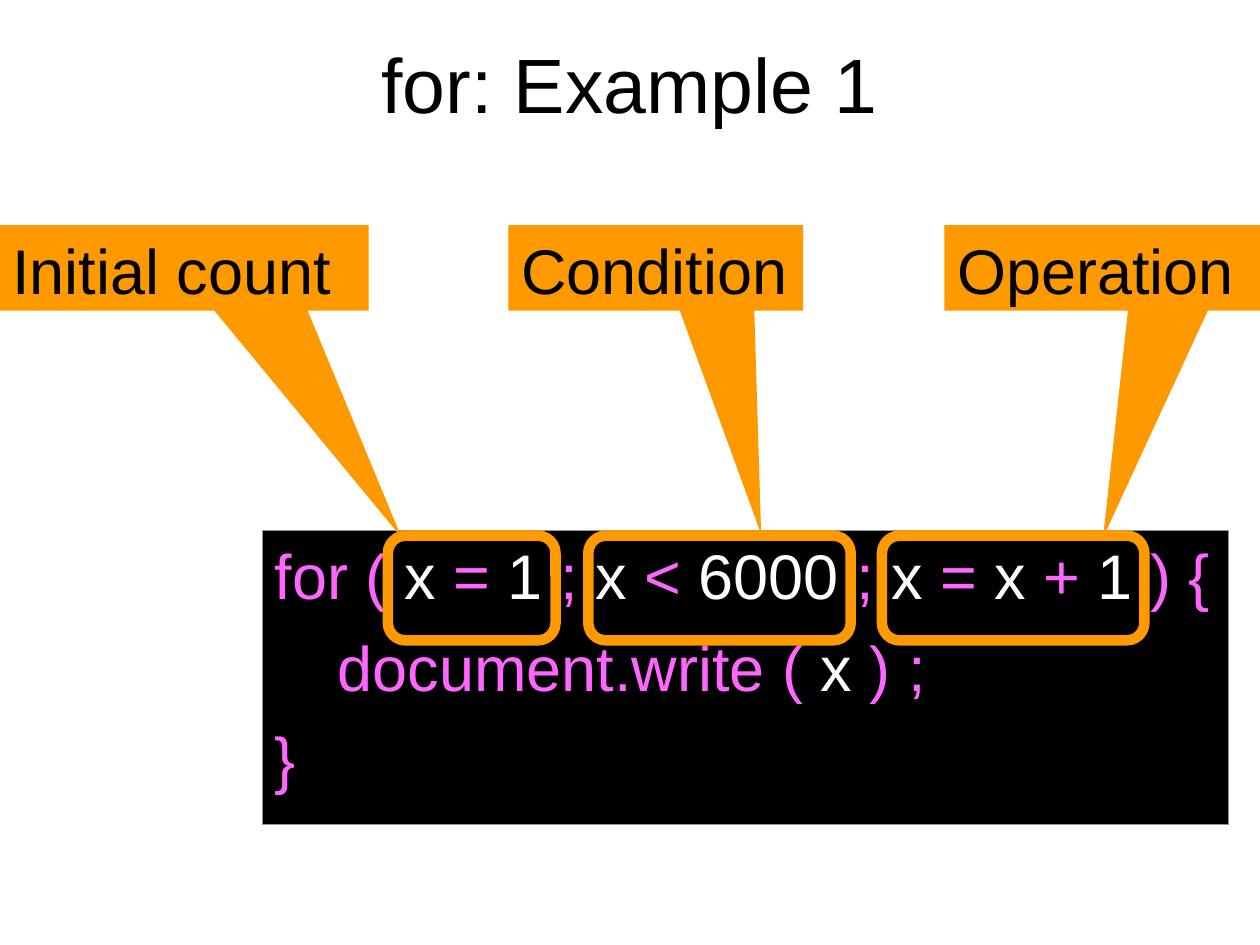
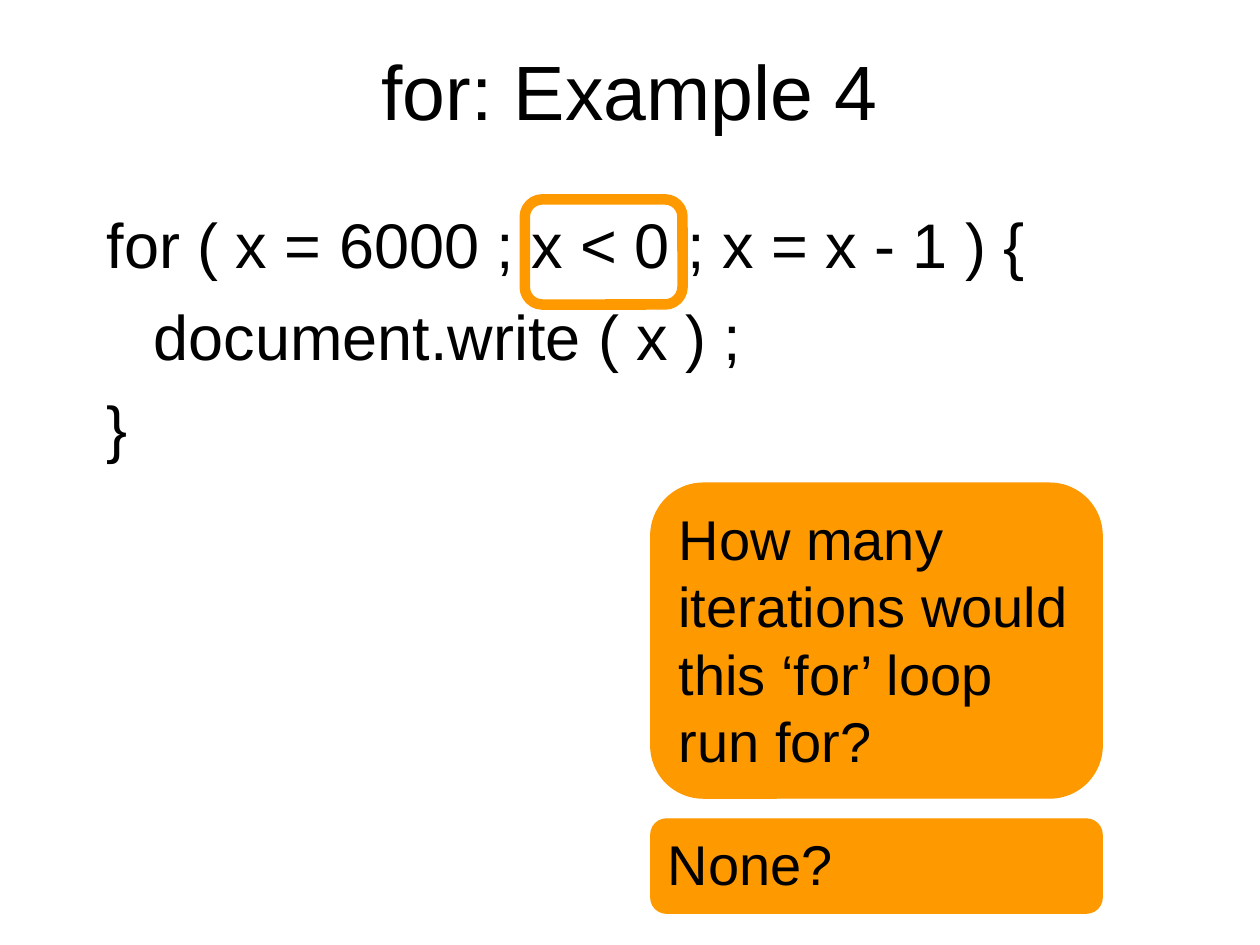
from dataclasses import dataclass

from pptx import Presentation
from pptx.dml.color import RGBColor
from pptx.enum.shapes import MSO_SHAPE
from pptx.enum.text import MSO_ANCHOR, PP_ALIGN
from pptx.shapes.autoshape import Shape
from pptx.slide import Slide
from pptx.text.text import _Paragraph
from pptx.util import Cm, Pt

RECTANGLE = MSO_SHAPE.RECTANGLE
ROUNDED = MSO_SHAPE.ROUNDED_RECTANGLE
CALLOUT = MSO_SHAPE.RECTANGULAR_CALLOUT
TOP, MIDDLE = MSO_ANCHOR.TOP, MSO_ANCHOR.MIDDLE
LEFT, CENTER = PP_ALIGN.LEFT, PP_ALIGN.CENTER

BLACK = RGBColor(0x00, 0x00, 0x00)
WHITE = RGBColor(0xFF, 0xFF, 0xFF)
GREY = RGBColor(0x96, 0x96, 0x96)
ORANGE = RGBColor(0xFF, 0x99, 0x00)
PINK = RGBColor(0xFF, 0x66, 0xFF)

FONT = "Arial"
TITLE_SIZE, CODE_SIZE, QUESTION_SIZE = 44, 36, 32
CODE_GAP = Pt(9.1)
HANGING_INDENT = Cm(0.95)
THIN, THICK = 0.75, 6
CORNER = 0.167


@dataclass(frozen=True)
class Box:
    """A rectangle, in centimetres."""
    left: float
    top: float
    width: float
    height: float

    def lengths(self) -> tuple[Cm, Cm, Cm, Cm]:
        return Cm(self.left), Cm(self.top), Cm(self.width), Cm(self.height)


@dataclass(frozen=True)
class LoopPart:
    """A labelled part of the for statement; the label points at tip."""
    label: str
    label_box: Box
    tip: tuple[float, float]
    highlight: Box


LOOP_PARTS = (
    LoopPart("Initial count", Box(0, 4.55, 7.42, 1.7), (8.05, 10.76), Box(7.82, 10.8, 3.38, 2.11)),
    LoopPart("Condition", Box(10.26, 4.55, 5.92, 1.7), (15.33, 10.69), Box(11.86, 10.8, 5.29, 2.11)),
    LoopPart("Operation", Box(19.05, 4.55, 6.35, 1.7), (22.26, 10.76), Box(17.78, 10.8, 5.29, 2.11)),
)

# Each line alternates between syntax (pink) and values (white).
COLOURED_CODE = (
    ("for ( ", "x ", "= ", "1 ", ";", " x ", "< ", "6000 ", ";", " x ",
     "= ", "x", " + ", "1 ", ") {"),
    ("\tdocument.write ( ", "x ", ") ;"),
    ("}",),
)
COUNTDOWN_CODE = (
    "for ( x = 6000 ; x < 0 ; x = x - 1 ) {",
    "\tdocument.write ( x ) ;",
    "}",
)


def style_paragraph(paragraph: _Paragraph, size: float, align: PP_ALIGN = LEFT) -> None:
    paragraph.alignment = align
    paragraph.font.name = FONT
    paragraph.font.size = Pt(size)
    paragraph.font.color.rgb = BLACK


def write_lines(shape: Shape, lines: tuple[str, ...], size: float,
                align: PP_ALIGN = LEFT, anchor: MSO_ANCHOR = TOP) -> list[_Paragraph]:
    frame = shape.text_frame
    frame.word_wrap = True
    frame.vertical_anchor = anchor
    paragraphs = []
    for index, line in enumerate(lines):
        paragraph = frame.add_paragraph() if index else frame.paragraphs[0]
        if index:
            paragraph.space_before = CODE_GAP
        if line:
            paragraph.add_run().text = line
        style_paragraph(paragraph, size, align)
        paragraphs.append(paragraph)
    return paragraphs


def add_box(slide: Slide, kind: MSO_SHAPE, box: Box, fill: RGBColor | None,
            line: RGBColor, line_width: float = THIN) -> Shape:
    shape = slide.shapes.add_shape(kind, *box.lengths())
    shape.shadow.inherit = False
    if fill is None:
        shape.fill.background()
    else:
        shape.fill.solid()
        shape.fill.fore_color.rgb = fill
    shape.line.color.rgb = line
    shape.line.width = Pt(line_width)
    if kind == ROUNDED:
        shape.adjustments[0] = CORNER
    return shape


def add_title(slide: Slide, title: str, top: float) -> None:
    shape = slide.shapes.add_textbox(*Box(1.9, top, 21.6, 3.18).lengths())
    write_lines(shape, (title,), TITLE_SIZE, CENTER, MIDDLE)


def add_highlight(slide: Slide, box: Box) -> None:
    add_box(slide, ROUNDED, box, None, ORANGE, THICK)


def add_callout(slide: Slide, part: LoopPart) -> None:
    box = part.label_box
    shape = add_box(slide, CALLOUT, box, ORANGE, ORANGE)
    tip_x, tip_y = part.tip
    shape.adjustments[0] = (tip_x - box.left) / box.width - 0.5
    shape.adjustments[1] = (tip_y - box.top) / box.height - 0.5
    write_lines(shape, (part.label,), CODE_SIZE)


def add_bubble(slide: Slide, text: str, box: Box) -> None:
    write_lines(add_box(slide, ROUNDED, box, ORANGE, ORANGE), (text,), QUESTION_SIZE)


def add_coloured_code(slide: Slide) -> None:
    shape = add_box(slide, RECTANGLE, Box(5.29, 10.7, 19.47, 5.92), BLACK, GREY)
    paragraphs = write_lines(shape, ("",) * len(COLOURED_CODE), CODE_SIZE)
    for paragraph, tokens in zip(paragraphs, COLOURED_CODE):
        for index, token in enumerate(tokens):
            run = paragraph.add_run()
            run.text = token
            run.font.color.rgb = WHITE if index % 2 else PINK


def add_plain_code(slide: Slide) -> None:
    shape = slide.shapes.add_textbox(*Box(1.9, 4.02, 21.6, 11.43).lengths())
    for paragraph in write_lines(shape, COUNTDOWN_CODE, CODE_SIZE):
        properties = paragraph._p.get_or_add_pPr()
        properties.set("marL", str(HANGING_INDENT))
        properties.set("indent", str(-HANGING_INDENT))


def build_loop_parts(slide: Slide) -> None:
    add_title(slide, "for: Example 1", 0.08)
    add_coloured_code(slide)
    for part in LOOP_PARTS:
        add_highlight(slide, part.highlight)
    for part in LOOP_PARTS:
        add_callout(slide, part)


def build_countdown(slide: Slide) -> None:
    add_title(slide, "for: Example 4", 0.21)
    add_plain_code(slide)
    add_bubble(slide, "How many iterations would this ‘for’ loop run for?",
               Box(13.12, 9.74, 9.1, 6.35))
    add_highlight(slide, Box(10.58, 4.02, 3.18, 2.12))
    add_bubble(slide, "None?", Box(13.12, 16.51, 9.1, 1.9))


def main() -> None:
    presentation = Presentation()
    presentation.slide_width, presentation.slide_height = Cm(25.4), Cm(19.05)
    blank = presentation.slide_layouts[6]
    for build in (build_loop_parts, build_countdown):
        build(presentation.slides.add_slide(blank))
    presentation.save("out.pptx")


if __name__ == "__main__":
    main()
